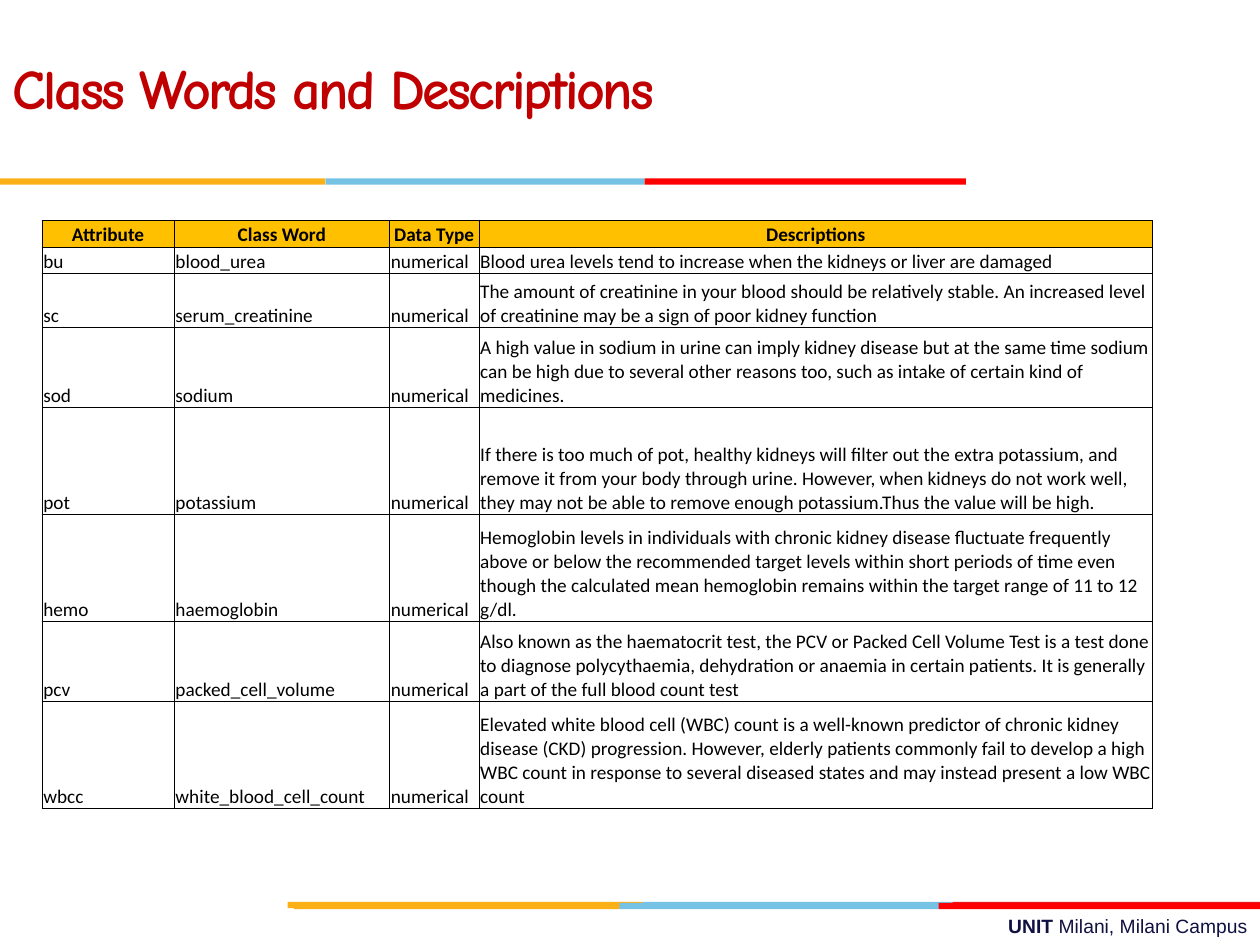
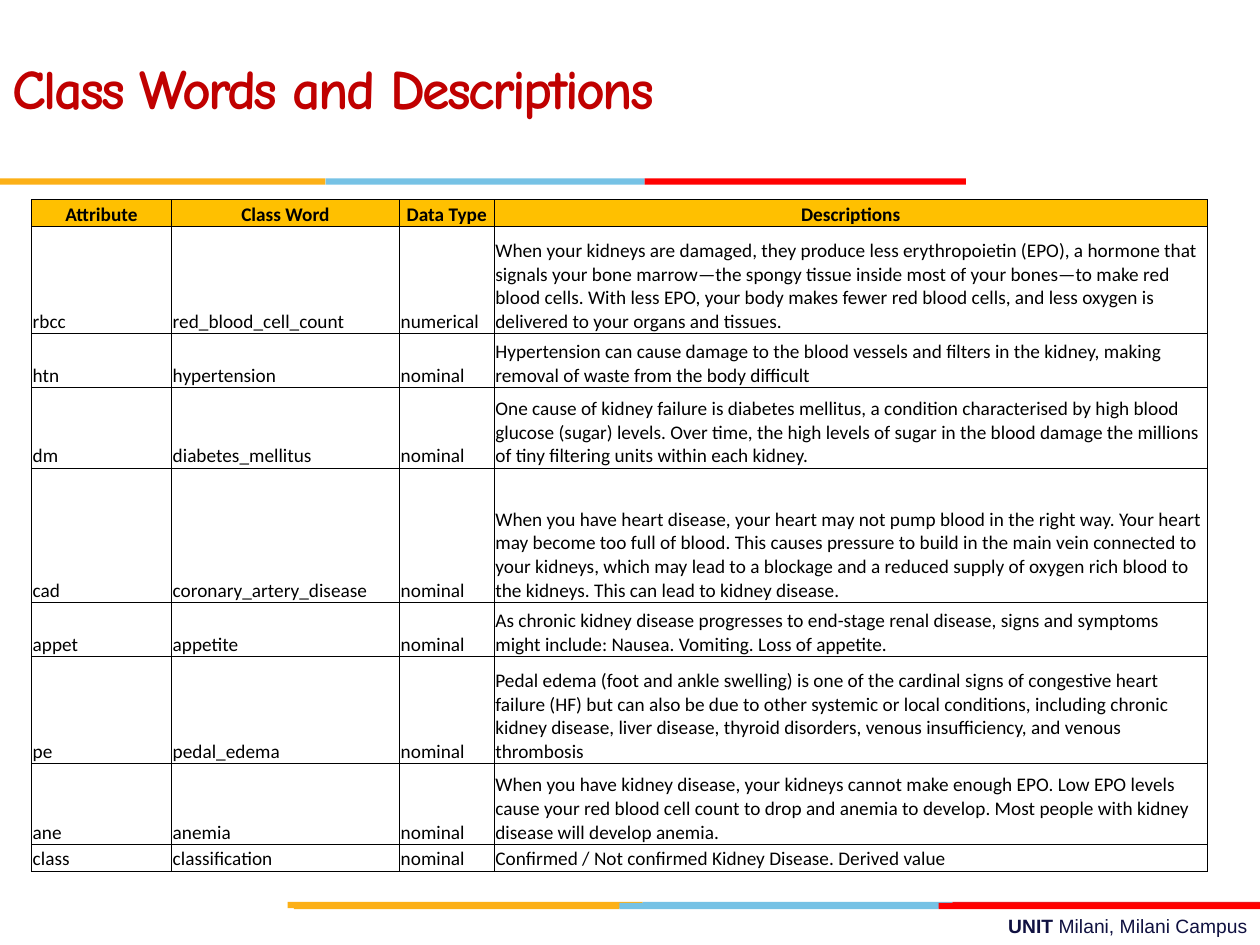
from itertools import pairwise

from lxml import etree
from pptx import Presentation
from pptx.dml.color import RGBColor
from pptx.enum.shapes import MSO_SHAPE
from pptx.enum.text import MSO_ANCHOR, MSO_AUTO_SIZE, PP_ALIGN
from pptx.oxml.ns import qn
from pptx.util import Inches, Pt

RECTANGLE = MSO_SHAPE.RECTANGLE
MIDDLE, BOTTOM = MSO_ANCHOR.MIDDLE, MSO_ANCHOR.BOTTOM
LEFT, CENTER, RIGHT = PP_ALIGN.LEFT, PP_ALIGN.CENTER, PP_ALIGN.RIGHT
NO_AUTOFIT = MSO_AUTO_SIZE.NONE

SLIDE_WIDTH, SLIDE_HEIGHT = Inches(10), Inches(7.5)
GRID_COLUMNS, GRID_ROWS = 120, 90
TITLE_ONLY_LAYOUT = 5

COLORS = {
    "orange": "FCB017",
    "blue": "76C2E5",
    "dark_red": "E31C24",
    "red": "FF0000",
    "title": "C00000",
    "footer": "101141",
    "header_fill": "FFC000",
    "black": "000000",
}
FONTS = {"title": "Comic Neue", "table": "Calibri", "footer": "Arial"}

TITLE = "Class Words and Descriptions"
TITLE_BOX = (0, 0, 87, 17)
FOOTER_BOX = (43, 86.5, 77, 3.5)
BAND_HEIGHT = 0.6
BANDS = [
    (85.9, (27.4, 61.2, 90.7, 120), ("orange", "blue", "dark_red")),
    (86, (28, 59, 89.4, 120), ("orange", "blue", "red")),
    (17, (0, 31, 61.4, 92), ("orange", "blue", "red")),
]

HEADINGS = ("Attribute", "Class Word", "Data Type", "Descriptions")
COLUMN_WEIGHTS = (1.05, 1.71, 0.71, 5.35)

MEASUREMENTS = [
    (1, "bu", "blood_urea", "numerical",
     "Blood urea levels tend to increase when the kidneys or liver are damaged"),
    (2, "sc", "serum_creatinine", "numerical",
     "The amount of creatinine in your blood should be relatively stable. An increased level "
     "of creatinine may be a sign of poor kidney function"),
    (3, "sod", "sodium", "numerical",
     "A high value in sodium in urine can imply kidney disease but at the same time sodium "
     "can be high due to several other reasons too, such as intake of certain kind of medicines."),
    (4, "pot", "potassium", "numerical",
     "If there is too much of pot, healthy kidneys will filter out the extra potassium, and "
     "remove it from your body through urine. However, when kidneys do not work well, they may "
     "not be able to remove enough potassium.Thus the value will be high."),
    (4, "hemo", "haemoglobin", "numerical",
     "Hemoglobin levels in individuals with chronic kidney disease fluctuate frequently above "
     "or below the recommended target levels within short periods of time even though the "
     "calculated mean hemoglobin remains within the target range of 11 to 12 g/dl."),
    (3, "pcv", "packed_cell_volume", "numerical",
     "Also known as the haematocrit test, the PCV or Packed Cell Volume Test is a test done to "
     "diagnose polycythaemia, dehydration or anaemia in certain patients. It is generally a "
     "part of the full blood count test"),
    (4, "wbcc", "white_blood_cell_count", "numerical",
     "Elevated white blood cell (WBC) count is a well-known predictor of chronic kidney disease "
     "(CKD) progression. However, elderly patients commonly fail to develop a high WBC count in "
     "response to several diseased states and may instead present a low WBC count"),
]
CONDITIONS = [
    (4, "rbcc", "red_blood_cell_count", "numerical",
     "When your kidneys are damaged, they produce less erythropoietin (EPO), a hormone that "
     "signals your bone marrow—the spongy tissue inside most of your bones—to make red blood "
     "cells. With less EPO, your body makes fewer red blood cells, and less oxygen is delivered "
     "to your organs and tissues."),
    (2, "htn", "hypertension", "nominal",
     "Hypertension can cause damage to the blood vessels and filters in the kidney, making "
     "removal of waste from the body difficult"),
    (3, "dm", "diabetes_mellitus", "nominal",
     "One cause of kidney failure is diabetes mellitus, a condition characterised by high blood "
     "glucose (sugar) levels. Over time, the high levels of sugar in the blood damage the "
     "millions of tiny filtering units within each kidney."),
    (5, "cad", "coronary_artery_disease", "nominal",
     "When you have heart disease, your heart may not pump blood in the right way. Your heart "
     "may become too full of blood. This causes pressure to build in the main vein connected to "
     "your kidneys, which may lead to a blockage and a reduced supply of oxygen rich blood to "
     "the kidneys. This can lead to kidney disease."),
    (2, "appet", "appetite", "nominal",
     "As chronic kidney disease progresses to end-stage renal disease, signs and symptoms might "
     "include: Nausea. Vomiting. Loss of appetite."),
    (4, "pe", "pedal_edema", "nominal",
     "Pedal edema (foot and ankle swelling) is one of the cardinal signs of congestive heart "
     "failure (HF) but can also be due to other systemic or local conditions, including chronic "
     "kidney disease, liver disease, thyroid disorders, venous insufficiency, and venous "
     "thrombosis"),
    (3, "ane", "anemia", "nominal",
     "When you have kidney disease, your kidneys cannot make enough EPO. Low EPO levels cause "
     "your red blood cell count to drop and anemia to develop. Most people with kidney disease "
     "will develop anemia."),
    (1, "class", "classification", "nominal",
     "Confirmed / Not confirmed Kidney Disease. Derived value"),
]
PAGES = [
    ((4, 21, 105.8, 56), MEASUREMENTS),
    ((3, 19, 112, 64), CONDITIONS),
]


def color(name):
    """Return the named palette colour."""
    return RGBColor.from_string(COLORS[name])


def place(box):
    """Turn a box in grid columns and rows into slide lengths."""
    left, top, width, height = box
    column, row = SLIDE_WIDTH / GRID_COLUMNS, SLIDE_HEIGHT / GRID_ROWS
    return round(left * column), round(top * row), round(width * column), round(height * row)


def style_paragraph(para, font_name, size, color_name, alignment, bold=None):
    """Set alignment and font for a whole paragraph."""
    para.alignment = alignment
    para.font.name = font_name
    para.font.size = Pt(size)
    para.font.color.rgb = color(color_name)
    para.font.bold = bold


def add_band(page, top, edges, color_names):
    """Draw a row of coloured bars between successive edges."""
    for (start, end), color_name in zip(pairwise(edges), color_names):
        bar = page.shapes.add_shape(RECTANGLE, *place((start, top, end - start, BAND_HEIGHT)))
        bar.shadow.inherit = False
        bar.fill.solid()
        bar.fill.fore_color.rgb = color(color_name)
        bar.line.fill.background()


def add_footer(page, box):
    """Write the campus name at the right of the box."""
    frame = page.shapes.add_textbox(*place(box)).text_frame
    frame.word_wrap = True
    para = frame.paragraphs[0]
    style_paragraph(para, FONTS["footer"], 11, "footer", RIGHT)
    for text, bold in (("UNIT ", True), ("Milani, Milani Campus", False)):
        span = para.add_run()
        span.text = text
        span.font.bold = bold


def fill_title(page, box):
    """Move the title placeholder to the box and style its text."""
    title = page.shapes.title
    title.left, title.top, title.width, title.height = place(box)
    frame = title.text_frame
    frame.text = TITLE
    frame.auto_size = NO_AUTOFIT
    frame.vertical_anchor = MIDDLE
    para = frame.paragraphs[0]
    style_paragraph(para, FONTS["title"], 32, "title", LEFT, True)
    para.line_spacing = Pt(36)
    para.runs[0]._r.get_or_add_rPr().set("spc", "-150")


def outline_cell(cell):
    """Give a cell thin black borders on all four sides."""
    properties = cell._tc.get_or_add_tcPr()
    for position, side in enumerate(("lnL", "lnR", "lnT", "lnB")):
        line = etree.Element(qn(f"a:{side}"), w=str(Pt(0.5)))
        fill = etree.SubElement(line, qn("a:solidFill"))
        etree.SubElement(fill, qn("a:srgbClr"), val=COLORS["black"])
        properties.insert(position, line)


def fill_cell(cell, text, is_header):
    """Write and format one table cell."""
    cell.text = text
    cell.vertical_anchor = BOTTOM
    cell.margin_left = cell.margin_right = cell.margin_top = Inches(0.01)
    cell.margin_bottom = 0
    if is_header:
        cell.fill.solid()
        cell.fill.fore_color.rgb = color("header_fill")
    else:
        cell.fill.background()
    style_paragraph(cell.text_frame.paragraphs[0], FONTS["table"], 11, "black",
                    CENTER if is_header else LEFT, is_header)
    outline_cell(cell)


def add_attribute_table(page, box, entries):
    """Build the attribute table, with row heights in proportion to line counts."""
    rows = [(1, *HEADINGS), *entries]
    left, top, width, height = place(box)
    table = page.shapes.add_table(len(rows), len(HEADINGS), left, top, width, height).table
    table.first_row = table.horz_banding = False
    for column, weight in zip(table.columns, COLUMN_WEIGHTS):
        column.width = round(width * weight / sum(COLUMN_WEIGHTS))
    total_lines = sum(row[0] for row in rows)
    for index, (lines, *texts) in enumerate(rows):
        table.rows[index].height = round(height * lines / total_lines)
        for cell, text in zip(table.rows[index].cells, texts):
            fill_cell(cell, text, index == 0)


def add_page(deck, table_box, entries):
    """Add one slide with the shared frame and its table."""
    page = deck.slides.add_slide(deck.slide_layouts[TITLE_ONLY_LAYOUT])
    add_footer(page, FOOTER_BOX)
    for band in BANDS:
        add_band(page, *band)
    fill_title(page, TITLE_BOX)
    add_attribute_table(page, table_box, entries)


def main():
    """Build and save the deck."""
    deck = Presentation()
    deck.slide_width, deck.slide_height = SLIDE_WIDTH, SLIDE_HEIGHT
    for table_box, entries in PAGES:
        add_page(deck, table_box, entries)
    deck.save("out.pptx")


if __name__ == "__main__":
    main()
